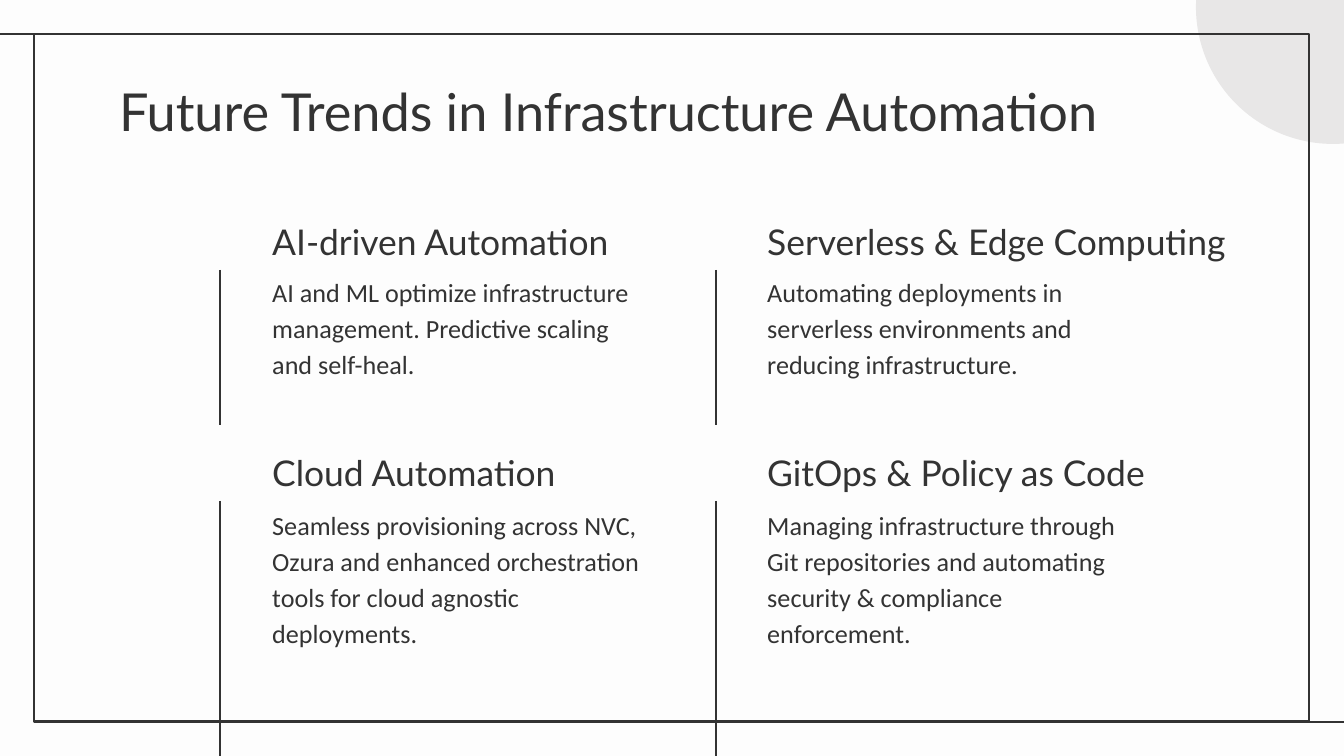
from lxml import etree
from pptx import Presentation, util as u
from pptx.dml.color import RGBColor
from pptx.enum import shapes, text
from pptx.oxml.ns import qn

PX = 914400 / 134.4
INK = RGBColor(0x33, 0x33, 0x33)
PAPER = RGBColor(0xFD, 0xFD, 0xFD)
GRAY = RGBColor(0xE8, 0xE7, 0xE7)


def rule(x1, y1, x2, y2):
    ends = [u.Emu(round(n * PX)) for n in (x1, y1, x2, y2)]
    line = slide.shapes.add_connector(shapes.MSO_CONNECTOR.STRAIGHT, *ends)
    line.line.color.rgb = INK
    line.line.width = u.Pt(1.5)
    etree.SubElement(line._element.spPr, qn("a:effectLst"))


def write(words, area, size, font, space, anchor=text.MSO_ANCHOR.TOP):
    box = slide.shapes.add_textbox(*[u.Emu(round(n * PX)) for n in area])
    frame = box.text_frame
    frame.word_wrap = True
    frame.vertical_anchor = anchor
    frame.margin_left = frame.margin_right = u.Inches(0.1)
    frame.margin_top = frame.margin_bottom = u.Inches(0.1)
    para = frame.paragraphs[0]
    para.line_spacing = space
    run = para.add_run()
    run.text = words
    run.font.name = font
    run.font.size = u.Pt(size)
    run.font.color.rgb = INK


deck = Presentation()
deck.slide_width = u.Emu(round(1344 * PX))
deck.slide_height = u.Emu(round(756 * PX))
slide = deck.slides.add_slide(deck.slide_layouts[6])
slide.background.fill.solid()
slide.background.fill.fore_color.rgb = PAPER

# Corner disc and frame
disc_area = [u.Emu(round(n * PX)) for n in (1196, -130, 274, 274)]
disc = slide.shapes.add_shape(shapes.MSO_SHAPE.OVAL, *disc_area)
disc.shadow.inherit = False
disc.fill.solid()
disc.fill.fore_color.rgb = GRAY
disc.line.fill.background()

frame_area = [u.Emu(round(n * PX)) for n in (34, 34, 1275, 688)]
border = slide.shapes.add_shape(shapes.MSO_SHAPE.RECTANGLE, *frame_area)
border.shadow.inherit = False
border.fill.background()
border.line.color.rgb = INK
border.line.width = u.Pt(1.5)
rule(0, 34, 34, 34)
rule(1309, 722, 1344, 722)

# Title
write("Future Trends in Infrastructure Automation",
      (106, 66, 1133, 85), 28, "Lato", 1)

# Trends in two columns and two rows: heading, heading width, body
trends = [
    ("AI-driven Automation", 395,
     "AI and ML optimize infrastructure management. "
     "Predictive scaling and self-heal."),
    ("Serverless & Edge Computing", 548,
     "Automating deployments in serverless environments "
     "and reducing infrastructure."),
    ("Cloud Automation", 442,
     "Seamless provisioning across NVC, Ozura and enhanced "
     "orchestration tools for cloud agnostic deployments."),
    ("GitOps & Policy as Code", 466,
     "Managing infrastructure through Git repositories and automating "
     "security & compliance enforcement."),
]
ends = (425, 756)
for i, (head, wide, body) in enumerate(trends):
    row, col = divmod(i, 2)
    x = 259 + 495 * col
    y = 270 + 231 * row
    write(body, (x, 258 + 233 * row, 395, 134), 14, "Calibri", 1.15)
    write(head, (x, y - 46, wide, 52), 19, "Lato", 1.15,
          text.MSO_ANCHOR.BOTTOM)
    rule(220 + 496 * col, y, 220 + 496 * col, ends[row])

deck.save("out.pptx")
